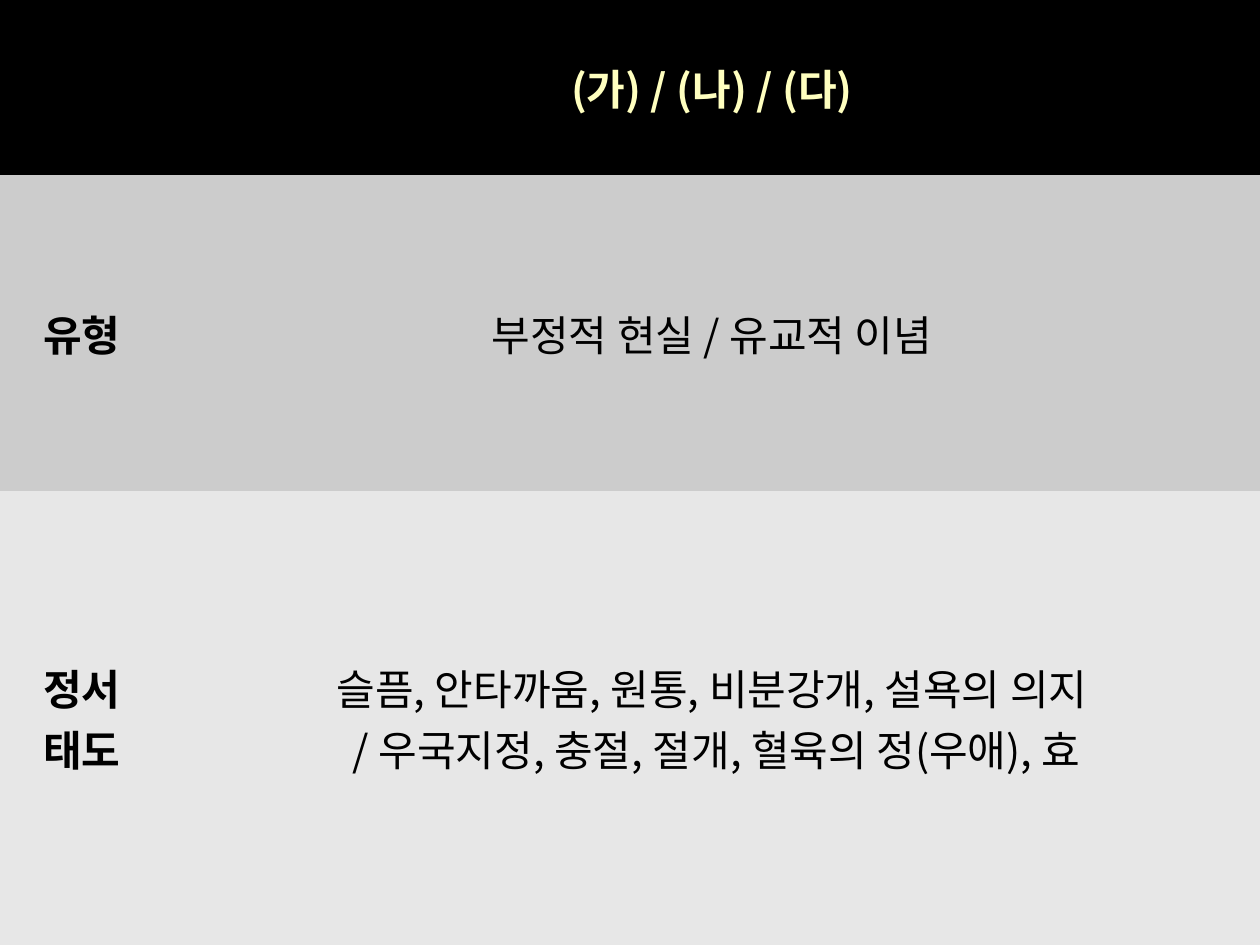
from dataclasses import dataclass

from lxml import etree
from pptx import Presentation
from pptx.dml.color import RGBColor
from pptx.enum.text import MSO_ANCHOR, PP_ALIGN
from pptx.oxml.ns import qn
from pptx.util import Emu, Pt

CENTER = PP_ALIGN.CENTER
MIDDLE = MSO_ANCHOR.MIDDLE
EMU_PER_PX = 914400 // 126
SLIDE_W, SLIDE_H = 1260, 945
BLANK_LAYOUT = 6
NO_GRID_STYLE = "{2D5ABB26-0587-4C30-8999-92F81FD0307C}"


@dataclass(frozen=True)
class Theme:
    font: str = "Noto Sans CJK KR"
    size: int = 24
    header_text: str = "FFFFBF"
    body_text: str = "000000"
    header_fill: str = "000000"
    type_fill: str = "CCCCCC"
    attitude_fill: str = "E7E7E7"


def px(length):
    return Emu(length * EMU_PER_PX)


class SlideBuilder:
    def __init__(self, slide, theme):
        self.slide = slide
        self.theme = theme

    def style_run(self, run, color, bold):
        run.font.name = self.theme.font
        run.font.size = Pt(self.theme.size)
        run.font.bold = bold
        run.font.color.rgb = RGBColor.from_string(color)
        # Hangul takes the East Asian typeface
        east_asian = etree.SubElement(run.font._element, qn("a:ea"))
        east_asian.set("typeface", self.theme.font)

    def cell(self, cell, text, fill, color, bold):
        cell.fill.solid()
        cell.fill.fore_color.rgb = RGBColor.from_string(fill)
        cell.vertical_anchor = MIDDLE
        cell.text_frame.text = text
        for paragraph in cell.text_frame.paragraphs:
            paragraph.alignment = CENTER
            for run in paragraph.runs:
                self.style_run(run, color, bold)

    def table(self, left, top, widths, rows):
        """Each row is (height, fill, text colour, texts)."""
        heights = [row[0] for row in rows]
        table = self.slide.shapes.add_table(
            len(rows), len(widths), px(left), px(top),
            px(sum(widths)), px(sum(heights))).table
        table.first_row = table.horz_banding = False
        table._tbl.tblPr.find(qn("a:tableStyleId")).text = NO_GRID_STYLE
        for column, width in zip(table.columns, widths):
            column.width = px(width)
        for r, (height, fill, color, texts) in enumerate(rows):
            table.rows[r].height = px(height)
            for c, text in enumerate(texts):
                # The header row and the label column are bold
                self.cell(table.cell(r, c), text, fill, color, r == 0 or c == 0)


theme = Theme()
deck = Presentation()
deck.slide_width, deck.slide_height = px(SLIDE_W), px(SLIDE_H)
builder = SlideBuilder(deck.slides.add_slide(deck.slide_layouts[BLANK_LAYOUT]), theme)

# Comparison of the three poems, filling the slide
label_width = 164
comparison_rows = [
    (175, theme.header_fill, theme.header_text, ("", "(가) / (나) / (다)")),
    (316, theme.type_fill, theme.body_text, ("유형", "부정적 현실 / 유교적 이념")),
    (454, theme.attitude_fill, theme.body_text, (
        "정서\n태도",
        "슬픔, 안타까움, 원통, 비분강개, 설욕의 의지\n"
        " / 우국지정, 충절, 절개, 혈육의 정(우애), 효")),
]
builder.table(0, 0, (label_width, SLIDE_W - label_width), comparison_rows)

deck.save("out.pptx")
